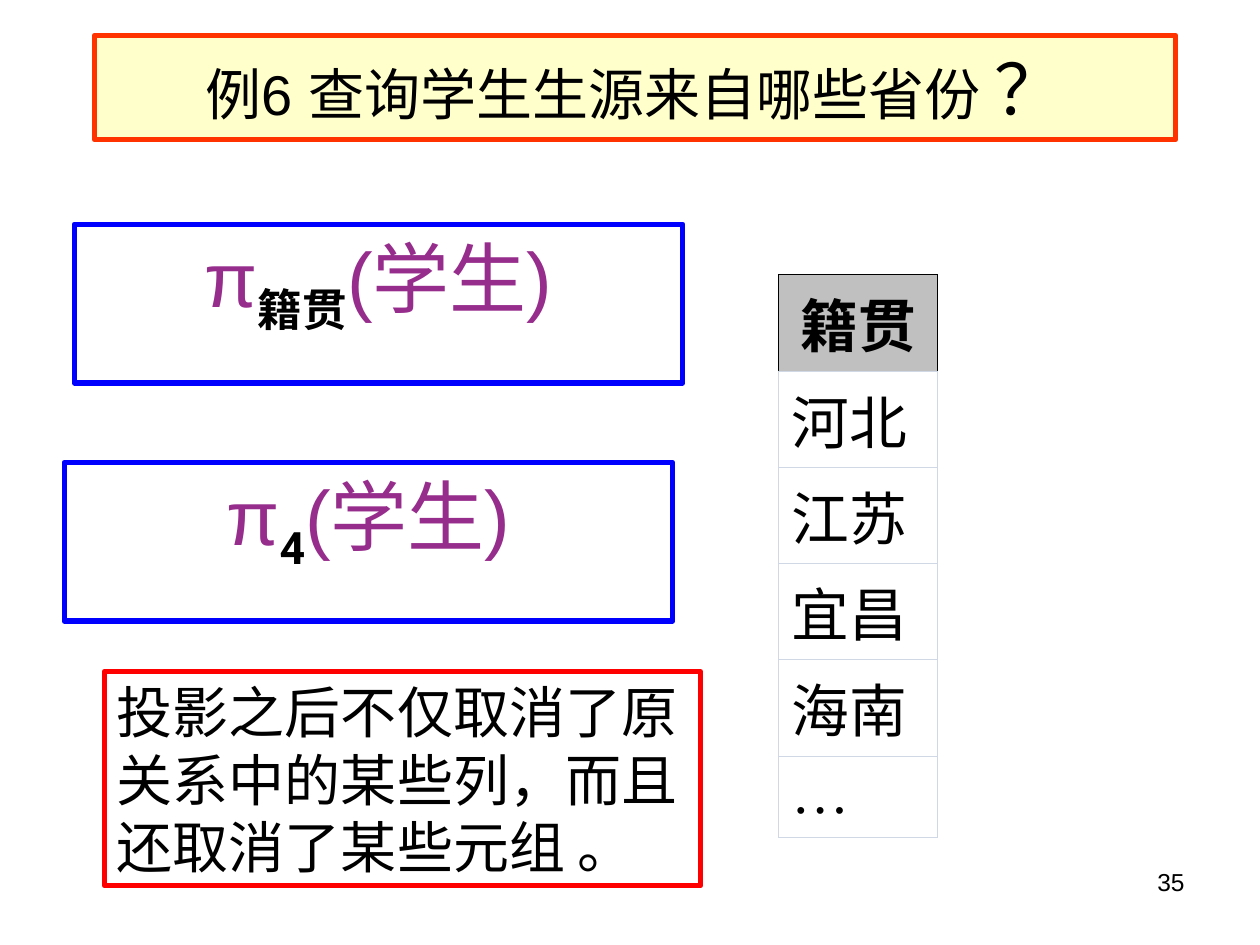
from lxml.etree import SubElement
from pptx import Presentation
from pptx.dml.color import RGBColor
from pptx.enum.shapes import MSO_SHAPE as Shape
from pptx.enum.text import MSO_ANCHOR as Anchor, MSO_AUTO_SIZE as AutoSize, PP_ALIGN as Align
from pptx.oxml.ns import qn
from pptx.util import Inches, Pt

# Content
TITLE = [("例6 查询学生生源来自哪些省份 ", "body"), ("？", "mark")]
PROJECTIONS = [("籍贯", 0.59, 1.78), ("4", 0.51, 3.67)]  # subscript, left, top
RELATION = "(学生)"
NOTE = "投影之后不仅取消了原关系中的某些列，而且还取消了某些元组 。"
HEADER = "籍贯"
PROVINCES = ["河北", "江苏", "宜昌", "海南", "…"]
PAGE = "35"


class Theme:
    sans, cjk, serif, sub = "Arial", "Noto Sans CJK SC", "Times New Roman", "Roboto"
    size = {"body": 32, "mark": 40, "formula": 44, "table": 33, "page": 14}
    black, white, purple = "000000", "FFFFFF", "962C8C"
    cream, orange, blue, red = "FFFFCC", "FF3300", "0000FF", "FF0000"
    grey, grid = "C0C0C0", "D0D7E5"
    outline = 3
    grid_width = 0.45


def style(font, name, size=None, color=Theme.black, bold=False):
    font.name, font.bold = name, bold
    font.color.rgb = RGBColor.from_string(color)
    if size:
        font.size = Pt(Theme.size[size])


def frame(sp, fill, line):
    """Fill and outline a box."""
    if fill:
        sp.fill.solid()
        sp.fill.fore_color.rgb = RGBColor.from_string(fill)
    else:
        sp.fill.background()
    sp.line.color.rgb = RGBColor.from_string(line)
    sp.line.width = Pt(Theme.outline)


def add_box(slide, left, top, width, height, fill, line, anchor):
    sp = slide.shapes.add_shape(Shape.RECTANGLE, Inches(left), Inches(top),
                                Inches(width), Inches(height))
    sp.shadow.inherit = False
    frame(sp, fill, line)
    sp.text_frame.word_wrap = True
    sp.text_frame.vertical_anchor = anchor
    return sp.text_frame


def set_borders(cell, colors):
    """Colours for the left, right, top and bottom edges."""
    tc_pr = cell._tc.get_or_add_tcPr()
    for i, (side, color) in enumerate(zip(("lnL", "lnR", "lnT", "lnB"), colors)):
        ln = SubElement(tc_pr, qn(f"a:{side}"), w=str(Pt(Theme.grid_width)))
        SubElement(SubElement(ln, qn("a:solidFill")), qn("a:srgbClr"), val=color)
        tc_pr.remove(ln)
        tc_pr.insert(i, ln)


prs = Presentation()
prs.slide_width, prs.slide_height = Inches(10), Inches(7.5)
slide = prs.slides.add_slide(prs.slide_layouts[5])

# Title
title = slide.shapes.title
title.left, title.top = Inches(0.75), Inches(0.28)
title.width, title.height = Inches(8.58), Inches(0.83)
frame(title, Theme.cream, Theme.orange)
tf = title.text_frame
tf.auto_size = AutoSize.NONE
tf.vertical_anchor = Anchor.MIDDLE
p = tf.paragraphs[0]
p.alignment = Align.CENTER
style(p.font, Theme.sans)
for text, size in TITLE:
    r = p.add_run()
    r.text = text
    style(r.font, Theme.sans, size)

# Projection formulas
for subscript, left, top in PROJECTIONS:
    tf = add_box(slide, left, top, 4.83, 1.26, Theme.white, Theme.blue, Anchor.TOP)
    p = tf.paragraphs[0]
    p.alignment = Align.CENTER
    for text in ("π", subscript, RELATION):
        r = p.add_run()
        r.text = text
        if text == subscript:
            style(r.font, Theme.sub, "formula", bold=True)
            r._r.get_or_add_rPr().set("baseline", "-25000")
        else:
            style(r.font, Theme.sans, "formula", Theme.purple)

# Result table
rows = [HEADER] + PROVINCES
row_height = 0.65
table = slide.shapes.add_table(len(rows), 1, Inches(6.18), Inches(2.18), Inches(1.26),
                               Inches(row_height * len(rows))).table
table.first_row = table.horz_banding = False
for i, text in enumerate(rows):
    is_header = i == 0
    cell = table.cell(i, 0)
    cell.text = text
    cell.vertical_anchor = Anchor.MIDDLE if is_header else Anchor.TOP
    cell.fill.solid()
    cell.fill.fore_color.rgb = RGBColor.from_string(Theme.grey if is_header else Theme.white)
    edge = Theme.black if is_header else Theme.grid
    top_edge = edge if i != 1 else Theme.grid
    set_borders(cell, (edge, edge, top_edge, Theme.grid))
    p = cell.text_frame.paragraphs[0]
    p.alignment = Align.CENTER if is_header else Align.LEFT
    style(p.font, Theme.serif, "table", bold=is_header)

# Note
tf = add_box(slide, 0.83, 5.33, 4.73, 1.7, None, Theme.red, Anchor.MIDDLE)
tf.auto_size = AutoSize.SHAPE_TO_FIT_TEXT
tf.text = NOTE
p = tf.paragraphs[0]
p.alignment = Align.LEFT
style(p.font, Theme.cjk, "body")

# Page number
tf = slide.shapes.add_textbox(Inches(7.17), Inches(6.83), Inches(2.33), Inches(0.52)).text_frame
tf.word_wrap = True
tf.text = PAGE
p = tf.paragraphs[0]
p.alignment = Align.RIGHT
style(p.font, Theme.sans, "page")

prs.save("out.pptx")
